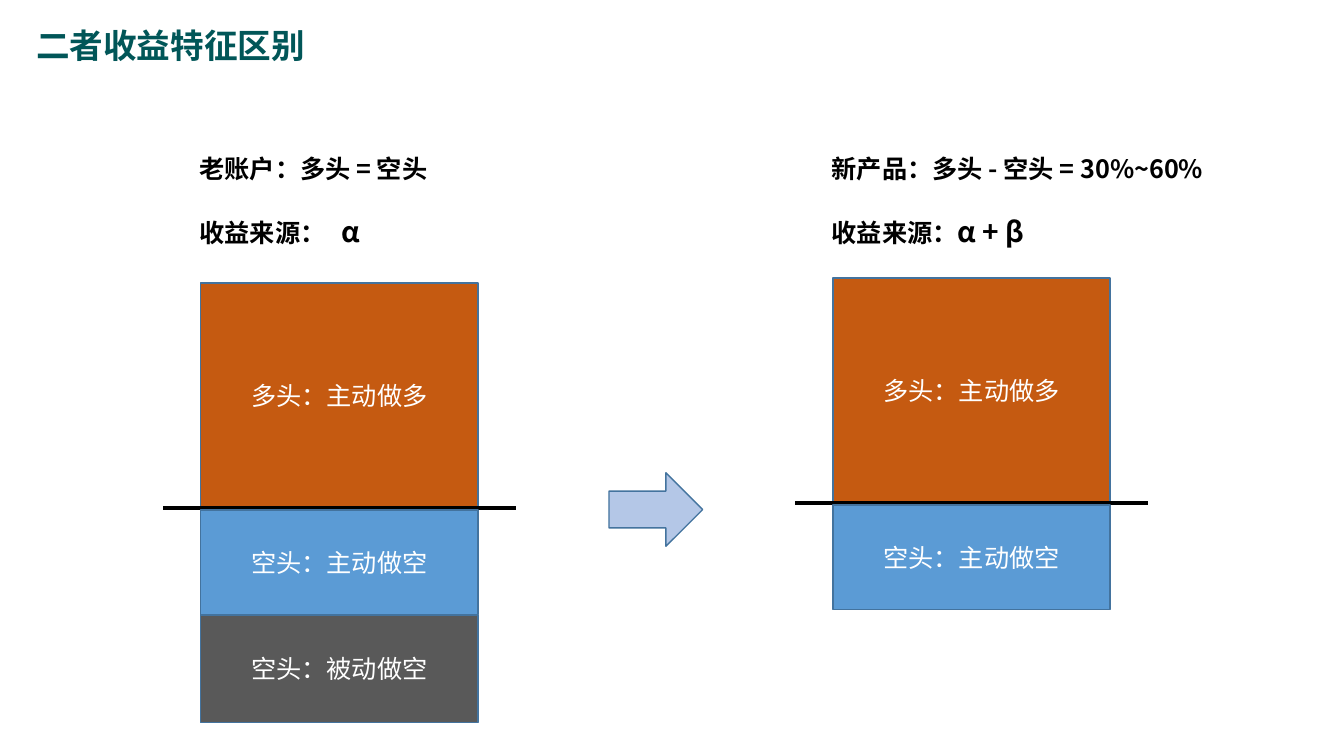
from lxml.etree import SubElement
from pptx import Presentation
from pptx.dml.color import RGBColor
from pptx.enum.shapes import MSO_CONNECTOR as Connector, MSO_SHAPE as Shape
from pptx.enum.text import MSO_ANCHOR as Anchor, PP_ALIGN as Align
from pptx.oxml.ns import qn
from pptx.util import Inches, Pt


def color(value):
    return RGBColor.from_string(value)


class SlideBuilder:
    """Holds the style and the current slide, and draws each kind of element."""

    font = "Noto Sans CJK SC"
    title_font = "Noto Sans CJK JP"
    outline = "43739E"
    black = "000000"
    white = "FFFFFF"

    def __init__(self, page):
        self.page = page

    def add_span(self, para, text, size, fill, bold=False, font=None):
        span = para.add_run()
        span.text = text
        name = font or self.font
        formats = {"name": name, "size": Pt(size), "bold": bold}
        for key, value in formats.items():
            setattr(span.font, key, value)
        span.font.color.rgb = color(fill)
        SubElement(span._r.get_or_add_rPr(), qn("a:ea"), typeface=name)

    def text(self, left, top, width, height, parts, fill=black, font=None, tab=None):
        box = self.page.shapes.add_textbox(
            Inches(left), Inches(top), Inches(width), Inches(height))
        box.text_frame.word_wrap = True
        para = box.text_frame.paragraphs[0]
        if tab:
            stops = SubElement(para._p.get_or_add_pPr(), qn("a:tabLst"))
            SubElement(stops, qn("a:tab"), pos=str(Inches(tab)), algn="l")
        for words, size in parts:
            self.add_span(para, words, size, fill, True, font)

    def shape(self, kind, left, top, width, height, fill, label=None):
        box = self.page.shapes.add_shape(
            kind, Inches(left), Inches(top), Inches(width), Inches(height))
        box.shadow.inherit = False
        box.fill.solid()
        box.fill.fore_color.rgb = color(fill)
        box.line.color.rgb = color(self.outline)
        box.line.width = Pt(1)
        if label:
            box.text_frame.word_wrap = True
            box.text_frame.vertical_anchor = Anchor.MIDDLE
            para = box.text_frame.paragraphs[0]
            para.alignment = Align.CENTER
            self.add_span(para, label, 18, self.white)

    def line(self, left, top, width):
        rule = self.page.shapes.add_connector(
            Connector.STRAIGHT, Inches(left), Inches(top), Inches(left + width), Inches(top))
        rule.line.color.rgb = color(self.black)
        rule.line.width = Pt(3)
        SubElement(rule._element.spPr, qn("a:effectLst"))

    def stack(self, left, axis, shorts):
        width, long_height = 2.75, 2.23
        self.shape(Shape.RECTANGLE, left, axis - long_height, width, long_height,
                   "C55A11", "多头：主动做多")
        self.line(left - 0.37, axis, 3.5)
        top = axis + 0.02
        for label, height, fill in shorts:
            self.shape(Shape.RECTANGLE, left, top, width, height, fill, label)
            top += height


def main():
    deck = Presentation()
    deck.slide_width, deck.slide_height = Inches(13.33), Inches(7.5)
    slide = SlideBuilder(deck.slides.add_slide(deck.slide_layouts[6]))

    slide.text(0.26, 0.2, 5.97, 0.5, [("二者收益特征区别", 24)],
               "015658", slide.title_font)

    active_short = ("空头：主动做空", 1.04, "5B9BD5")
    passive_short = ("空头：被动做空", 1.07, "595959")
    columns = [
        (1.99, 5.04, [active_short, passive_short], 1.88, 4.43,
         "老账户：多头 = 空头", [("收益来源：\t", 18), ("α", 20)], 1.41),
        (8.26, 4.99, [active_short], 8.15, 3.98,
         "新产品：多头 - 空头 = 30%~60%", [("收益来源：", 18), ("α + β", 20)], None),
    ]
    for left, axis, shorts, text_left, text_width, heading, source, tab in columns:
        slide.stack(left, axis, shorts)
        slide.text(text_left, 1.47, text_width, 0.4, [(heading, 18)])
        slide.text(text_left, 2.08, 4.43, 0.44, source, tab=tab)

    slide.shape(Shape.RIGHT_ARROW, 6.04, 4.69, 0.93, 0.73, "B4C7E7")
    deck.save("out.pptx")


if __name__ == "__main__":
    main()
